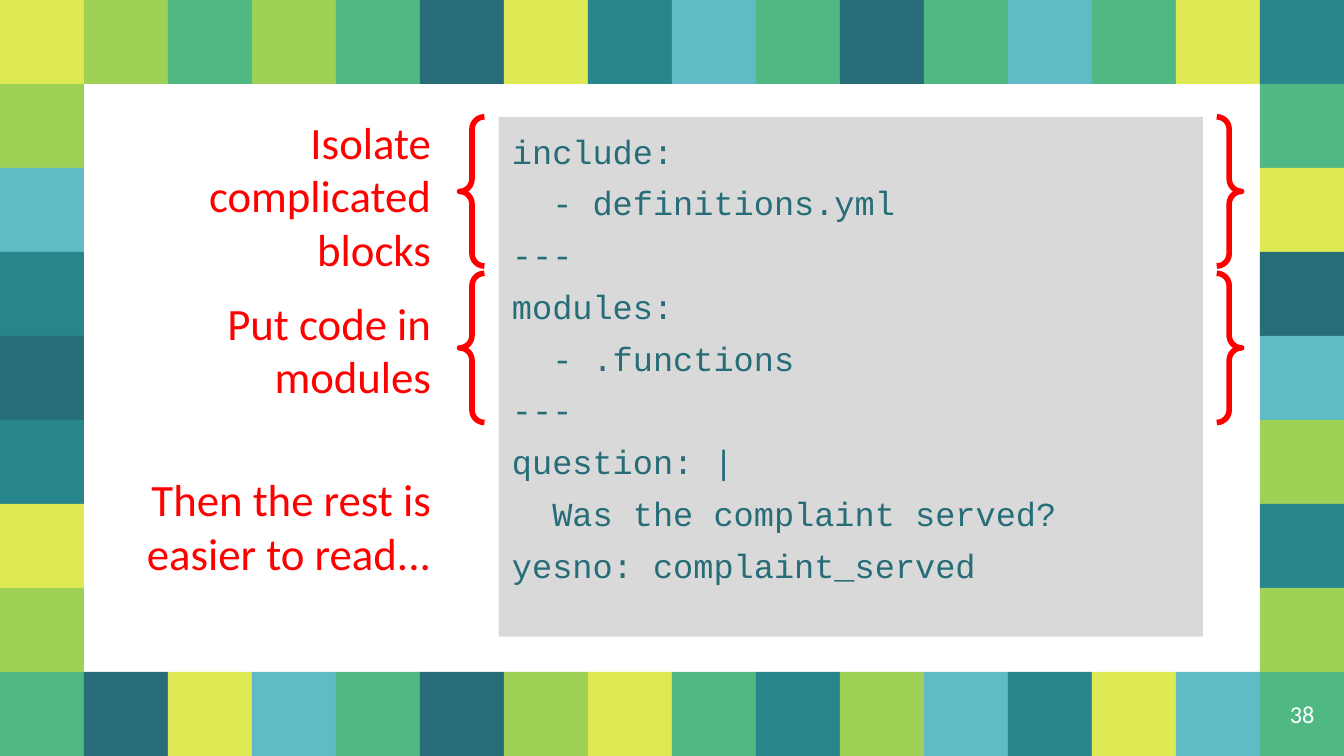
from pptx import Presentation
from pptx import util as u
from pptx.dml import color
from pptx.enum import shapes, text

Pt = u.Pt
LIME, DARK, YELLOW, GREEN, TEAL, BLUE = "9ED155", "266D78", "DFE954", "50B883", "27868B", "5FBBC5"
RED, GRAY, WHITE = "FF0000", "D9D9D9", "FFFFFF"
TILE = 45


def rgb(value):
    return color.RGBColor.from_string(value)


def add_text(shape, lines, font, size, value, align, anchor, before=0, spacing=None):
    frame = shape.text_frame
    frame.word_wrap = True
    frame.vertical_anchor = anchor
    frame.margin_left = frame.margin_right = frame.margin_top = frame.margin_bottom = Pt(7.2)
    for index, line in enumerate(lines):
        paragraph = frame.paragraphs[0] if index == 0 else frame.add_paragraph()
        paragraph.alignment = align
        paragraph.space_before = Pt(before)
        if spacing:
            paragraph.line_spacing = Pt(spacing)
        run = paragraph.add_run()
        run.text = line
        run.font.name = font
        run.font.size = Pt(size)
        run.font.color.rgb = rgb(value)


presentation = Presentation()
presentation.slide_width, presentation.slide_height = Pt(16 * TILE), Pt(9 * TILE)
slide = presentation.slides.add_slide(presentation.slide_layouts[6])

# Mosaic border: 16 by 9 square tiles, colours listed per side
top = [YELLOW, LIME, GREEN, LIME, GREEN, DARK, YELLOW, TEAL,
       BLUE, GREEN, DARK, GREEN, BLUE, GREEN, YELLOW, TEAL]
bottom = [GREEN, DARK, YELLOW, BLUE, GREEN, DARK, LIME, YELLOW,
          GREEN, TEAL, LIME, BLUE, TEAL, YELLOW, BLUE, GREEN]
left = [LIME, BLUE, TEAL, DARK, TEAL, YELLOW, LIME]
right = [GREEN, YELLOW, DARK, BLUE, LIME, TEAL, LIME]
tiles = [(column, 0, value) for column, value in enumerate(top)]
tiles += [(column, 8, value) for column, value in enumerate(bottom)]
tiles += [(0, row, value) for row, value in enumerate(left, 1)]
tiles += [(15, row, value) for row, value in enumerate(right, 1)]
for column, row, value in tiles:
    tile = slide.shapes.add_shape(shapes.MSO_SHAPE.RECTANGLE, Pt(column * TILE), Pt(row * TILE),
                                  Pt(TILE), Pt(TILE))
    tile.shadow.inherit = False
    tile.fill.solid()
    tile.fill.fore_color.rgb = rgb(value)
    tile.line.fill.background()

# Slide number in the last tile
number = slide.shapes.add_textbox(Pt(15 * TILE), Pt(8 * TILE), Pt(TILE), Pt(TILE))
add_text(number, ["38"], "Calibri", 13, WHITE, text.PP_ALIGN.CENTER, text.MSO_ANCHOR.MIDDLE)

# Code panel
code = slide.shapes.add_textbox(Pt(267.2), Pt(62.6), Pt(377.3), Pt(278.6))
code.fill.solid()
code.fill.fore_color.rgb = rgb(GRAY)
code_lines = [
    "include:",
    "  - definitions.yml",
    "---",
    "modules:",
    "  - .functions",
    "---",
    "question: |",
    "  Was the complaint served?",
    "yesno: complaint_served",
]
add_text(code, code_lines, "Courier New", 18, DARK, text.PP_ALIGN.LEFT, text.MSO_ANCHOR.TOP,
         before=6, spacing=21.7)

# Braces around the first two code blocks
for brace_top in (62.6, 146.4):
    brace = slide.shapes.add_shape(shapes.MSO_SHAPE.DOUBLE_BRACE, Pt(246.2), Pt(brace_top),
                                   Pt(419), Pt(80))
    brace.shadow.inherit = False
    brace.fill.background()
    brace.line.color.rgb = rgb(RED)
    brace.line.width = Pt(3)

# Explanations, right-aligned on a common edge
LABEL_RIGHT = 238
labels = [
    ("Isolate complicated blocks", 54, 155.5, 97.2, text.MSO_ANCHOR.TOP),
    ("Put code in modules", 152, 165, 70, text.MSO_ANCHOR.MIDDLE),
    ("Then the rest is easier to read...", 237, 185, 89.3, text.MSO_ANCHOR.MIDDLE),
]
for label, label_top, width, height, anchor in labels:
    box = slide.shapes.add_textbox(Pt(LABEL_RIGHT - width), Pt(label_top), Pt(width), Pt(height))
    add_text(box, [label], "Calibri", 24, RED, text.PP_ALIGN.RIGHT, anchor)

presentation.save("out.pptx")
